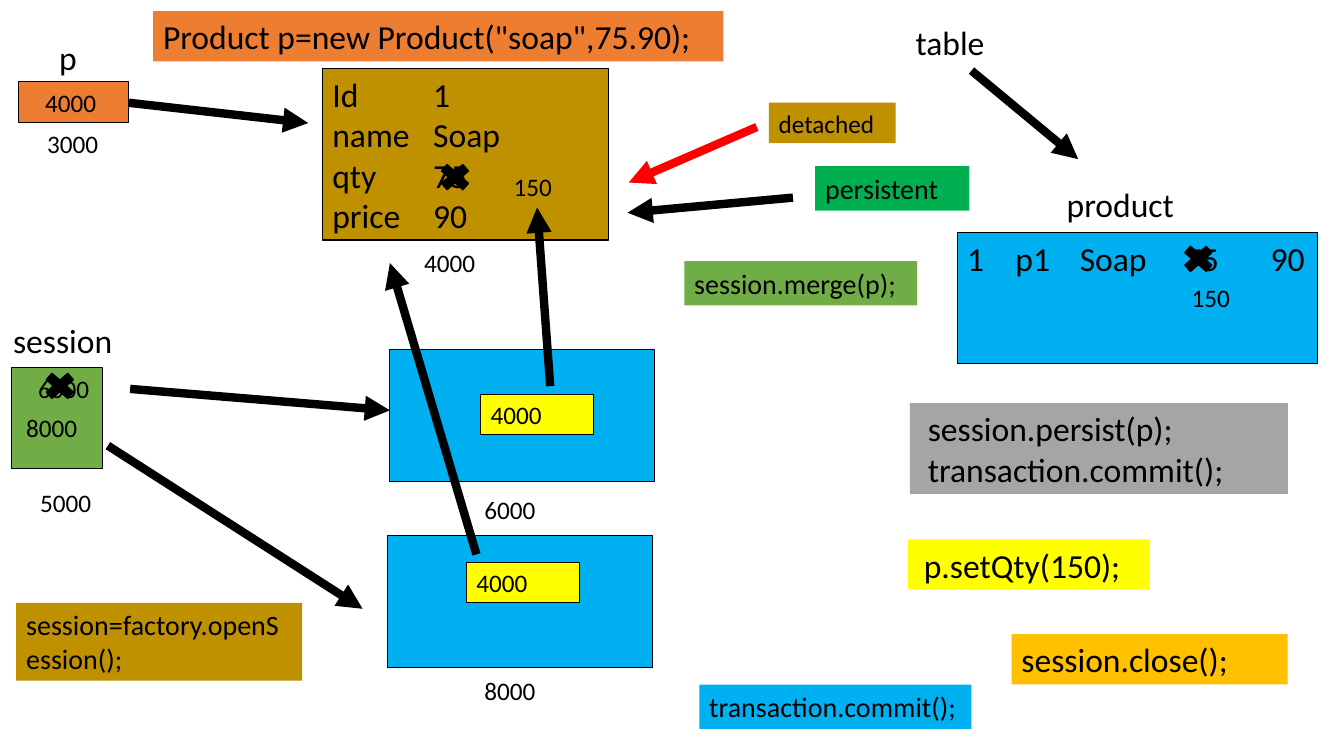
from lxml.etree import SubElement
from pptx import Presentation
from pptx.dml.color import RGBColor
from pptx.enum.shapes import MSO_CONNECTOR, MSO_SHAPE
from pptx.enum.text import MSO_ANCHOR, PP_ALIGN
from pptx.oxml.ns import qn
from pptx.util import Cm, Pt

BLACK = RGBColor(0, 0, 0)
RED = RGBColor(0xFF, 0, 0)
BLUE = RGBColor(0x00, 0xB0, 0xF0)
GOLD = RGBColor(0xBF, 0x90, 0x00)
ORANGE = RGBColor(0xED, 0x7D, 0x31)
YELLOW = RGBColor(0xFF, 0xFF, 0x00)
GREEN = RGBColor(0x70, 0xAD, 0x47)
EMERALD = RGBColor(0x00, 0xB0, 0x50)
GREY = RGBColor(0xA5, 0xA5, 0xA5)
AMBER = RGBColor(0xFF, 0xC0, 0x00)

deck = Presentation()
deck.slide_width = Cm(33.88)
deck.slide_height = Cm(19.05)
slide = deck.slides.add_slide(deck.slide_layouts[6])
shapes = slide.shapes


def write(shape, lines, size, pad=0.25, tabs=()):
    frame = shape.text_frame
    frame.word_wrap = True
    frame.vertical_anchor = MSO_ANCHOR.TOP
    frame.margin_left = Cm(pad)
    frame.margin_right = Cm(0.25)
    frame.margin_top = frame.margin_bottom = Cm(0.13)
    frame.text = lines
    for para in frame.paragraphs:
        para.alignment = PP_ALIGN.LEFT
        if tabs:
            stops = SubElement(para._p.get_or_add_pPr(), qn("a:tabLst"))
            for stop in tabs:
                SubElement(stops, qn("a:tab"), pos=str(Cm(stop)), algn="l")
        para.font.name = "Calibri"
        para.font.size = Pt(size)
        para.font.color.rgb = BLACK


def draw(kind, x, y, w, h, fill, line):
    shape = shapes.add_shape(kind, Cm(x), Cm(y), Cm(w), Cm(h))
    shape.shadow.inherit = False
    shape.fill.solid()
    shape.fill.fore_color.rgb = fill
    if line:
        shape.line.color.rgb = BLACK
        shape.line.width = Pt(line)
    else:
        shape.line.fill.background()
    return shape


fields = "Id\t1\nname\tSoap\nqty\t75\nprice\t90"
row = "1\tp1\tSoap\t75\t90"
cells = [
    (24.13, 5.87, 9.09, 3.3, BLUE, row, 24, 0.25, (1.22, 2.84, 5.49, 7.65)),
    (8.13, 1.73, 7.21, 4.32, GOLD, fields, 24, 0.25, (2.54,)),
    (0.46, 2.06, 2.79, 1.02, ORANGE, "4000", 18, 0.68, ()),
    (9.83, 8.81, 6.68, 3.33, BLUE, "", 18, 0.25, ()),
    (12.12, 9.93, 2.84, 1.02, YELLOW, "4000", 18, 0.25, ()),
    (9.78, 13.49, 6.68, 3.33, BLUE, "", 18, 0.25, ()),
    (11.76, 14.17, 2.84, 1.02, YELLOW, "4000", 18, 0.25, ()),
    (0.28, 9.27, 2.31, 2.54, GREEN, "6000", 18, 0.68, ()),
]
for x, y, w, h, fill, text, size, pad, tabs in cells:
    box = draw(MSO_SHAPE.RECTANGLE, x, y, w, h, fill, 0.75)
    if text:
        write(box, text, size, pad, tabs)

notes = [
    (3.86, 0.28, 14.38, 1.27, ORANGE, 'Product p=new Product("soap",75.90);', 24, 0.25),
    (22.94, 10.16, 9.53, 2.29, GREY, "session.persist(p);\ntransaction.commit();", 24, 0.45),
    (22.89, 13.59, 6.1, 1.27, YELLOW, "p.setQty(150);", 24, 0.4),
    (25.5, 15.98, 6.96, 1.27, AMBER, "session.close();", 24, 0.25),
    (19.38, 2.59, 3.2, 1.02, GOLD, "detached", 18, 0.25),
    (20.55, 4.19, 3.89, 1.12, EMERALD, "persistent", 20, 0.25),
    (17.25, 6.58, 5.87, 1.12, GREEN, "session.merge(p);", 20, 0.25),
    (17.63, 17.25, 6.86, 1.12, BLUE, "transaction.commit();", 20, 0.25),
    (0.41, 15.19, 7.21, 1.96, GOLD, "session=factory.openSession();", 20, 0.25),
]
for x, y, w, h, fill, text, size, pad in notes:
    write(draw(MSO_SHAPE.RECTANGLE, x, y, w, h, fill, 0), text, size, pad)

titles = [
    (26.64, 4.5, "product"),
    (1.24, 0.79, "p"),
    (22.83, 0.43, "table"),
    (0.08, 7.92, "session"),
]
values = [
    (0.94, 3.1, "3000"),
    (10.44, 6.1, "4000"),
    (12.7, 4.19, "150"),
    (11.96, 12.32, "6000"),
    (0.76, 12.14, "5000"),
    (11.96, 16.89, "8000"),
    (0.41, 10.26, "8000"),
    (29.79, 6.99, "150"),
]
for labels, w, h, size in ((titles, 3.63, 1.27, 24), (values, 2.06, 1.02, 18)):
    for x, y, text in labels:
        write(shapes.add_textbox(Cm(x), Cm(y), Cm(w), Cm(h)), text, size)

arrows = [
    (3.25, 2.59, 7.77, 3.1, BLACK),
    (24.49, 1.78, 27.18, 4.01, BLACK),
    (3.28, 9.8, 9.83, 10.34, BLACK),
    (13.87, 9.73, 13.54, 5.23, BLACK),
    (19.08, 3.2, 15.85, 4.6, RED),
    (2.72, 11.23, 9.14, 15.34, BLACK),
    (12.01, 13.97, 9.83, 6.63, BLACK),
    (19.99, 4.98, 15.82, 5.36, BLACK),
]
for x, y, u, v, tint in arrows:
    arrow = shapes.add_connector(MSO_CONNECTOR.STRAIGHT, Cm(x), Cm(y), Cm(u), Cm(v))
    arrow.line.color.rgb = tint
    arrow.line.width = Pt(6)
    SubElement(arrow.line._get_or_add_ln(), qn("a:tailEnd"), type="triangle")
    SubElement(arrow._element.spPr, qn("a:effectLst"))

for x, y in ((10.95, 4.01), (0.99, 9.27), (29.69, 6.07)):
    draw(MSO_SHAPE.MATH_MULTIPLY, x, y, 1.04, 0.91, BLACK, 1)

deck.save("out.pptx")
